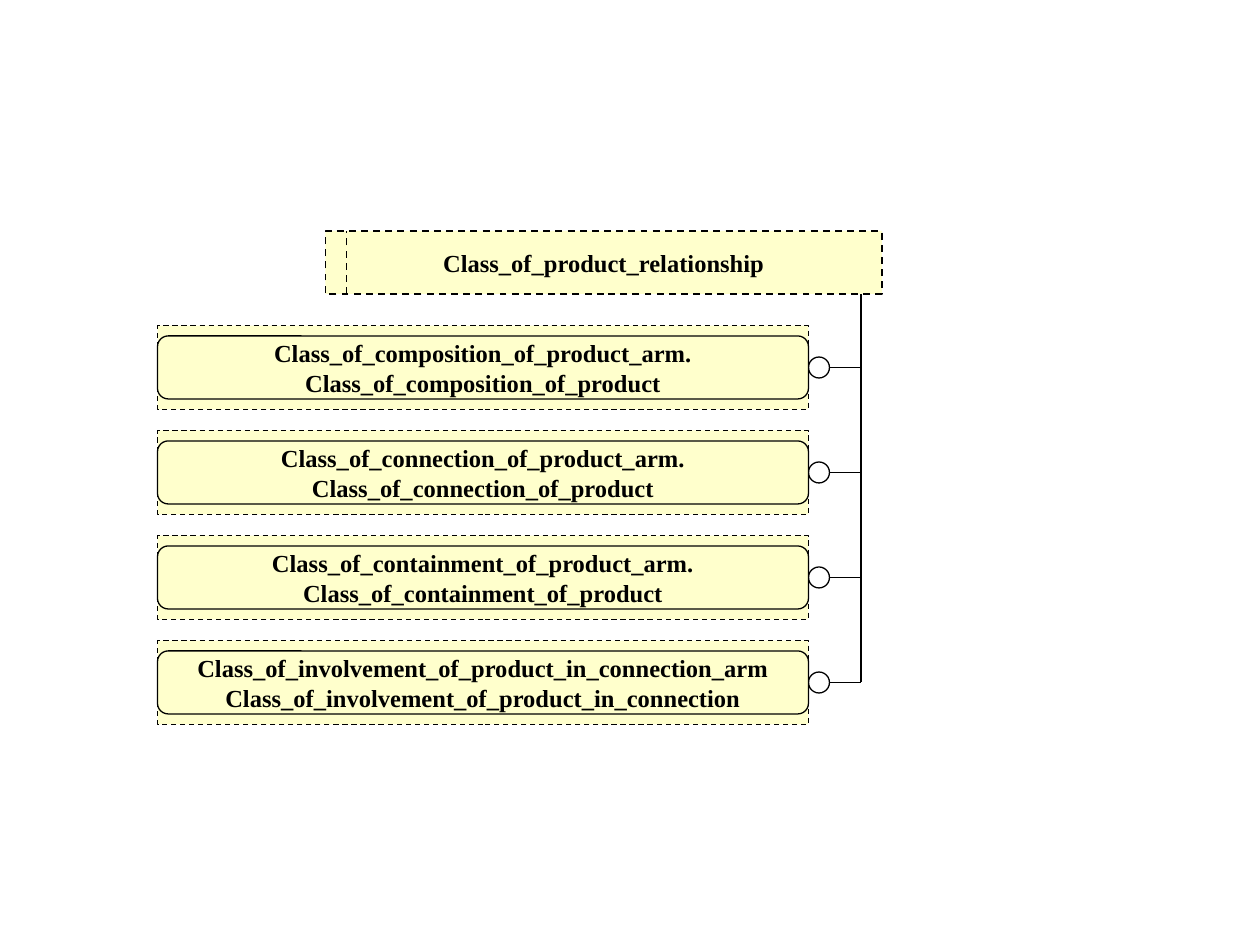
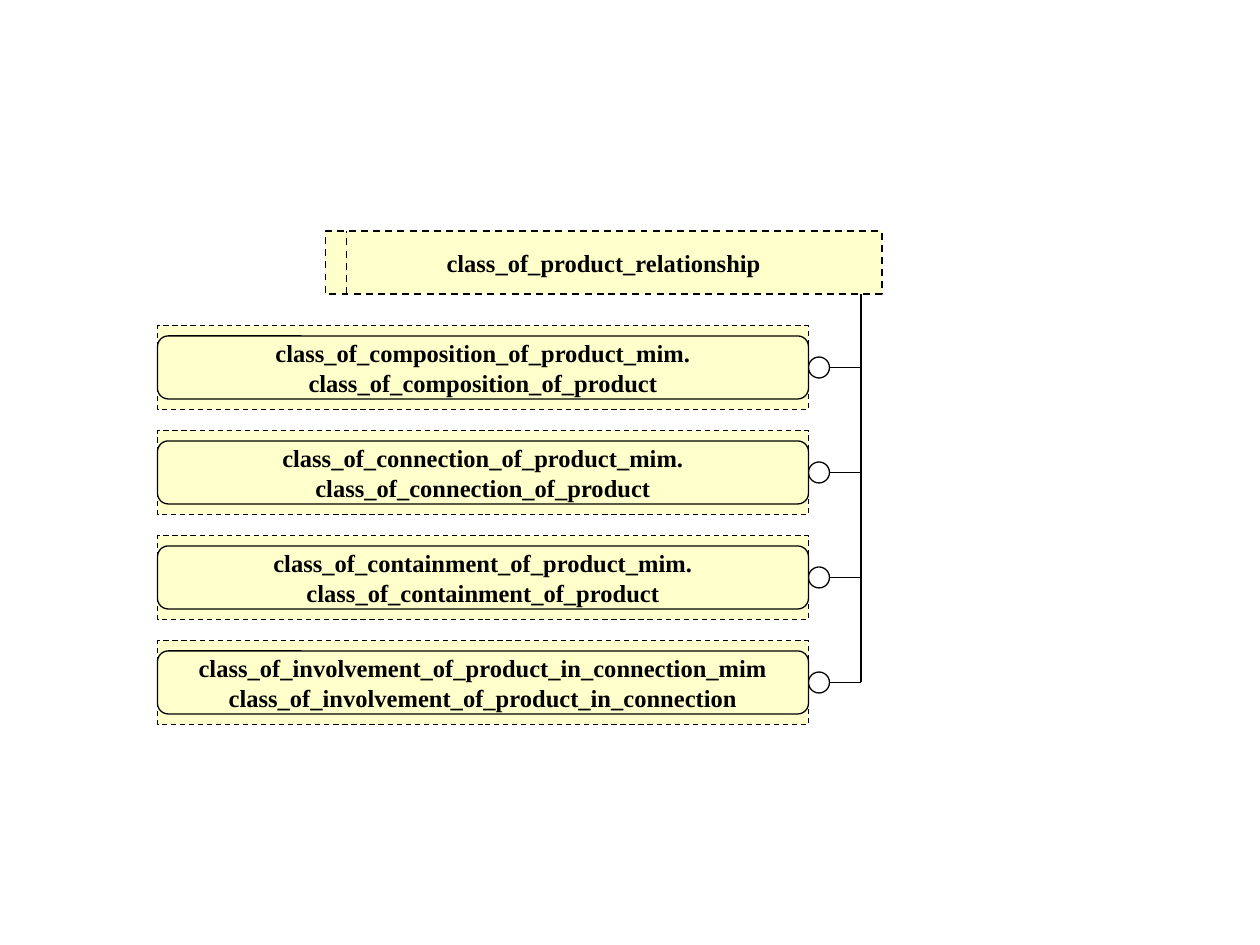
from pptx import Presentation
from pptx.dml.color import RGBColor
from pptx.enum.dml import MSO_LINE
from pptx.enum.shapes import MSO_CONNECTOR, MSO_SHAPE
from pptx.enum.text import MSO_ANCHOR, PP_ALIGN
from pptx.oxml.ns import qn
from pptx.util import Pt
from lxml import etree

RECT, ROUNDED, OVAL = MSO_SHAPE.RECTANGLE, MSO_SHAPE.ROUNDED_RECTANGLE, MSO_SHAPE.OVAL
STRAIGHT = MSO_CONNECTOR.STRAIGHT
DASH = MSO_LINE.DASH
MIDDLE, CENTER = MSO_ANCHOR.MIDDLE, PP_ALIGN.CENTER

EMU_PER_PX = 9525
SLIDE_W, SLIDE_H = 960, 720
INK, CREAM, WHITE = "000000", "FFFFCC", "FFFFFF"
FONT, FONT_PT = "Times New Roman", 14
THIN, THICK = 0.75, 1

SUPERTYPE_BOX = (248, 176, 424, 48)
FIRST_SUBTYPE_BOX = (120, 248, 496, 64)
SUBTYPE_PITCH = 80
BAR_WIDTH = 16
FRAME_INSET = 8
MARKER_SIZE = 16
TRUNK_X = 656

DIAGRAMS = [
    ("Class_of_product_relationship", [
        ("Class_of_composition_of_product_arm.", "Class_of_composition_of_product"),
        ("Class_of_connection_of_product_arm.", "Class_of_connection_of_product"),
        ("Class_of_containment_of_product_arm.", "Class_of_containment_of_product"),
        ("Class_of_involvement_of_product_in_connection_arm",
         "Class_of_involvement_of_product_in_connection"),
    ]),
    ("class_of_product_relationship", [
        ("class_of_composition_of_product_mim.", "class_of_composition_of_product"),
        ("class_of_connection_of_product_mim.", "class_of_connection_of_product"),
        ("class_of_containment_of_product_mim.", "class_of_containment_of_product"),
        ("class_of_involvement_of_product_in_connection_mim",
         "class_of_involvement_of_product_in_connection"),
    ]),
]


def px(*lengths):
    """Turn pixel lengths into EMU."""
    return [length * EMU_PER_PX for length in lengths]


def color(hex_code):
    """Turn a hex string into a colour."""
    return RGBColor.from_string(hex_code)


def style_line(line, width, dash):
    """Give an outline or connector its ink, width and dash."""
    line.color.rgb = color(INK)
    line.width = Pt(width)
    if dash:
        line.dash_style = dash


def add_outline(slide, preset, box, fill=None, width=THIN, dash=None):
    """Add a preset shape with an ink outline and an optional fill."""
    outline = slide.shapes.add_shape(preset, *px(*box))
    outline.shadow.inherit = False
    if fill:
        outline.fill.solid()
        outline.fill.fore_color.rgb = color(fill)
    else:
        outline.fill.background()
    style_line(outline.line, width, dash)
    return outline


def add_link(slide, start, end, width=THIN, dash=None):
    """Add a straight connector between two points."""
    link = slide.shapes.add_connector(STRAIGHT, *px(*start, *end))
    style_line(link.line, width, dash)
    etree.SubElement(link._element.spPr, qn("a:effectLst"))


def write_names(entity, names):
    """Write names as centred bold lines in an entity box."""
    frame = entity.text_frame
    frame.word_wrap = False
    frame.vertical_anchor = MIDDLE
    frame.text = "\n".join(names)
    for paragraph in frame.paragraphs:
        paragraph.alignment = CENTER
        for run in paragraph.runs:
            run.font.name = FONT
            run.font.size = Pt(FONT_PT)
            run.font.bold = True
            run.font.color.rgb = color(INK)


def add_supertype(slide, box, name):
    """Draw the dashed select box with its left bar."""
    left, top, _, height = box
    write_names(add_outline(slide, RECT, box, CREAM, THICK, DASH), [name])
    bar_x = left + BAR_WIDTH
    add_link(slide, (bar_x, top + height), (bar_x, top), THICK, DASH)


def add_subtype(slide, box, names):
    """Draw a subtype box with its rounded frame, marker and branch."""
    left, top, width, height = box
    right, middle = left + width, top + height // 2
    marker_box = (right, middle - MARKER_SIZE // 2, MARKER_SIZE, MARKER_SIZE)
    add_outline(slide, OVAL, marker_box, WHITE)
    add_link(slide, (right + MARKER_SIZE, middle), (TRUNK_X, middle))
    write_names(add_outline(slide, RECT, box, CREAM, THIN, DASH), names)
    frame_box = (left, top + FRAME_INSET, width, height - 2 * FRAME_INSET)
    add_outline(slide, ROUNDED, frame_box).adjustments[0] = 0.17


def add_diagram(deck, supertype, subtypes):
    """Add a slide with one supertype and its column of subtypes."""
    slide = deck.slides.add_slide(deck.slide_layouts[6])
    add_supertype(slide, SUPERTYPE_BOX, supertype)
    left, top, width, height = FIRST_SUBTYPE_BOX
    trunk_top = SUPERTYPE_BOX[1] + SUPERTYPE_BOX[3]
    trunk_bottom = top + (len(subtypes) - 1) * SUBTYPE_PITCH + height // 2
    add_link(slide, (TRUNK_X, trunk_bottom), (TRUNK_X, trunk_top))
    for row, names in enumerate(subtypes):
        add_subtype(slide, (left, top + row * SUBTYPE_PITCH, width, height), names)


def main():
    """Build and save the deck."""
    deck = Presentation()
    deck.slide_width, deck.slide_height = px(SLIDE_W, SLIDE_H)
    for supertype, subtypes in DIAGRAMS:
        add_diagram(deck, supertype, subtypes)
    deck.save("out.pptx")


if __name__ == "__main__":
    main()
